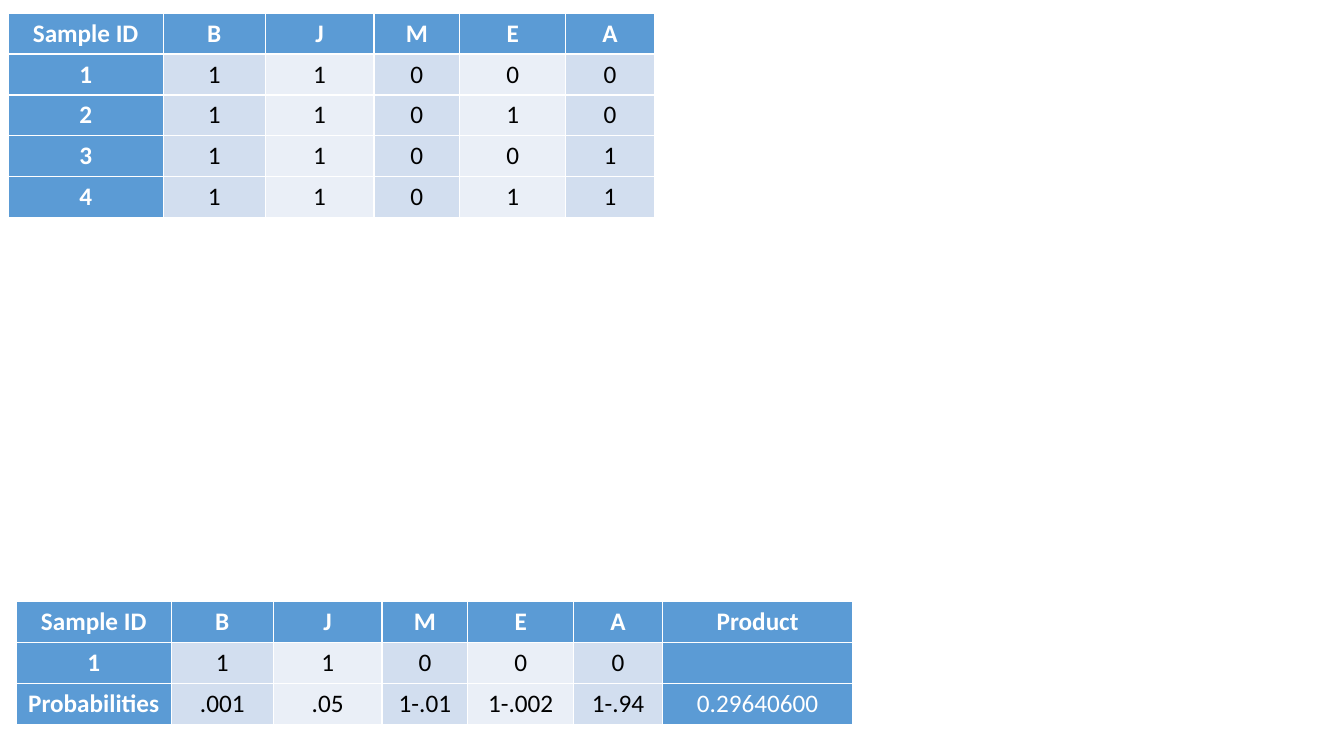
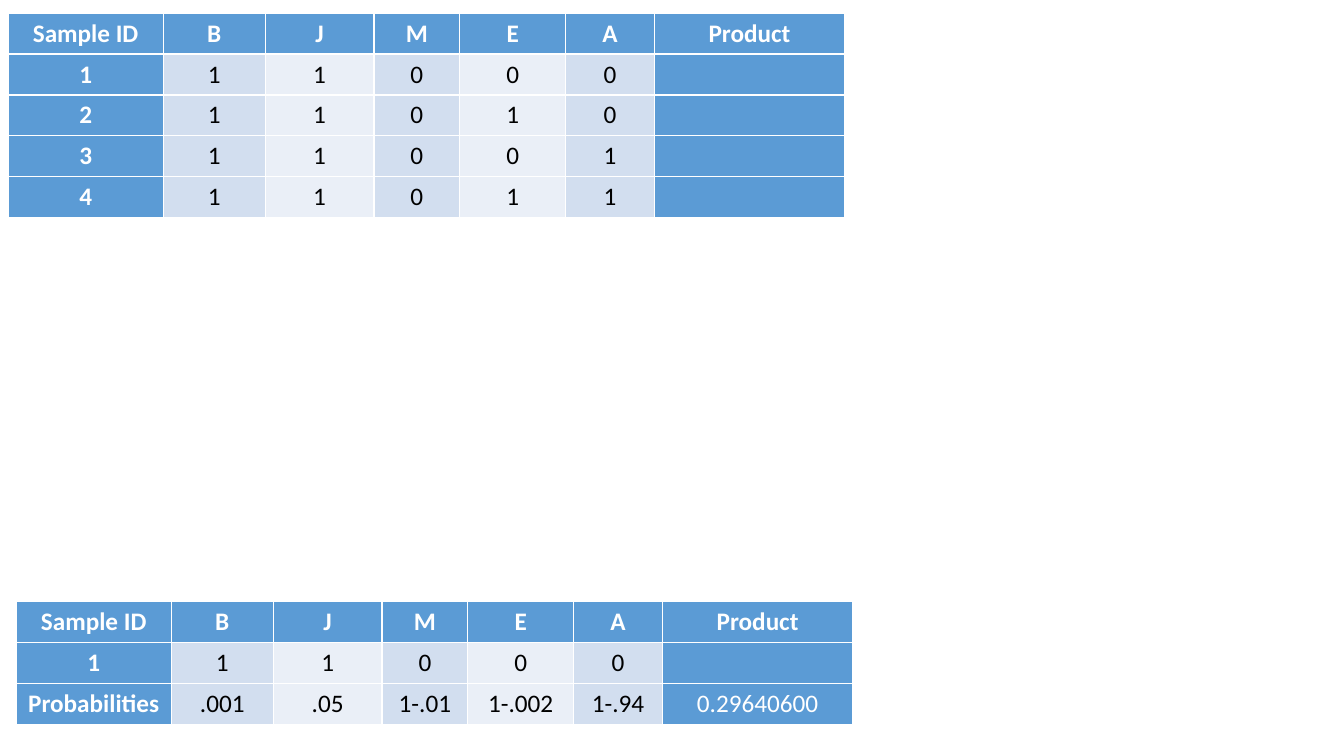
from pptx import Presentation
from pptx import util as u
from pptx.dml.color import RGBColor
from pptx.enum import text

HEADER = ("Sample ID", "B", "J", "M", "E", "A")
SAMPLES = [
    ("1", "1", "1", "0", "0", "0"),
    ("2", "1", "1", "0", "1", "0"),
    ("3", "1", "1", "0", "0", "1"),
    ("4", "1", "1", "0", "1", "1"),
]
PROBABILITIES = ("Probabilities", ".001", ".05", "1-.01", "1-.002", "1-.94")
PRODUCT = "0.29640600"


def with_product(rows):
    """Add the product column, empty below its heading."""
    return [row + ("" if index else "Product",) for index, row in enumerate(rows)]


ALL_SAMPLES = [HEADER] + SAMPLES
FIRST_SAMPLE = with_product([HEADER, SAMPLES[0]]) + [PROBABILITIES + (PRODUCT,)]
# Each slide: (left, top, rows) of its tables
TOP, BOTTOM = (0.08, 0.13), (0.16, 5.97)
SLIDES = [
    [(*TOP, ALL_SAMPLES), (*BOTTOM, FIRST_SAMPLE)],
    [(*TOP, with_product(ALL_SAMPLES)), (*BOTTOM, FIRST_SAMPLE)],
]

COLUMN_WIDTHS = (1.54, 1.01, 1.08, 0.85, 1.05, 0.88, 1.89)
ROW_HEIGHT = 2.03 / 5
PRODUCT_COLUMN = len(HEADER)
COLORS = {"accent": "5B9BD5", "odd": "D2DEEF", "even": "EAEFF7",
          "light": "FFFFFF", "dark": "000000"}


def color(name):
    """Look up a named colour."""
    return RGBColor.from_string(COLORS[name])


def style_cell(cell, row, column):
    """Fill and format a cell by its place in the table."""
    accent = row == 0 or column in (0, PRODUCT_COLUMN)
    band = "odd" if column % 2 else "even"
    cell.fill.solid()
    cell.fill.fore_color.rgb = color("accent" if accent else band)
    paragraph = cell.text_frame.paragraphs[0]
    paragraph.alignment = text.PP_ALIGN.CENTER
    font = paragraph.font
    font.name, font.size = "Calibri", u.Pt(18)
    font.bold = row == 0 or column == 0
    font.color.rgb = color("light" if accent else "dark")


def add_sample_table(slide, left, top, rows):
    """Draw one table; its built-in style supplies the white rules."""
    widths = COLUMN_WIDTHS[:len(rows[0])]
    table = slide.shapes.add_table(
        len(rows), len(widths), u.Inches(left), u.Inches(top),
        u.Inches(sum(widths)), u.Inches(ROW_HEIGHT * len(rows))).table
    table.first_col, table.horz_banding, table.vert_banding = True, False, True
    for column, width in zip(table.columns, widths):
        column.width = u.Inches(width)
    for row, values in enumerate(rows):
        for column, value in enumerate(values):
            cell = table.cell(row, column)
            cell.text = value
            style_cell(cell, row, column)


presentation = Presentation()
presentation.slide_width = u.Inches(13.33)
presentation.slide_height = u.Inches(7.5)
for tables in SLIDES:
    slide = presentation.slides.add_slide(presentation.slide_layouts[6])
    for left, top, rows in tables:
        add_sample_table(slide, left, top, rows)
presentation.save("out.pptx")
